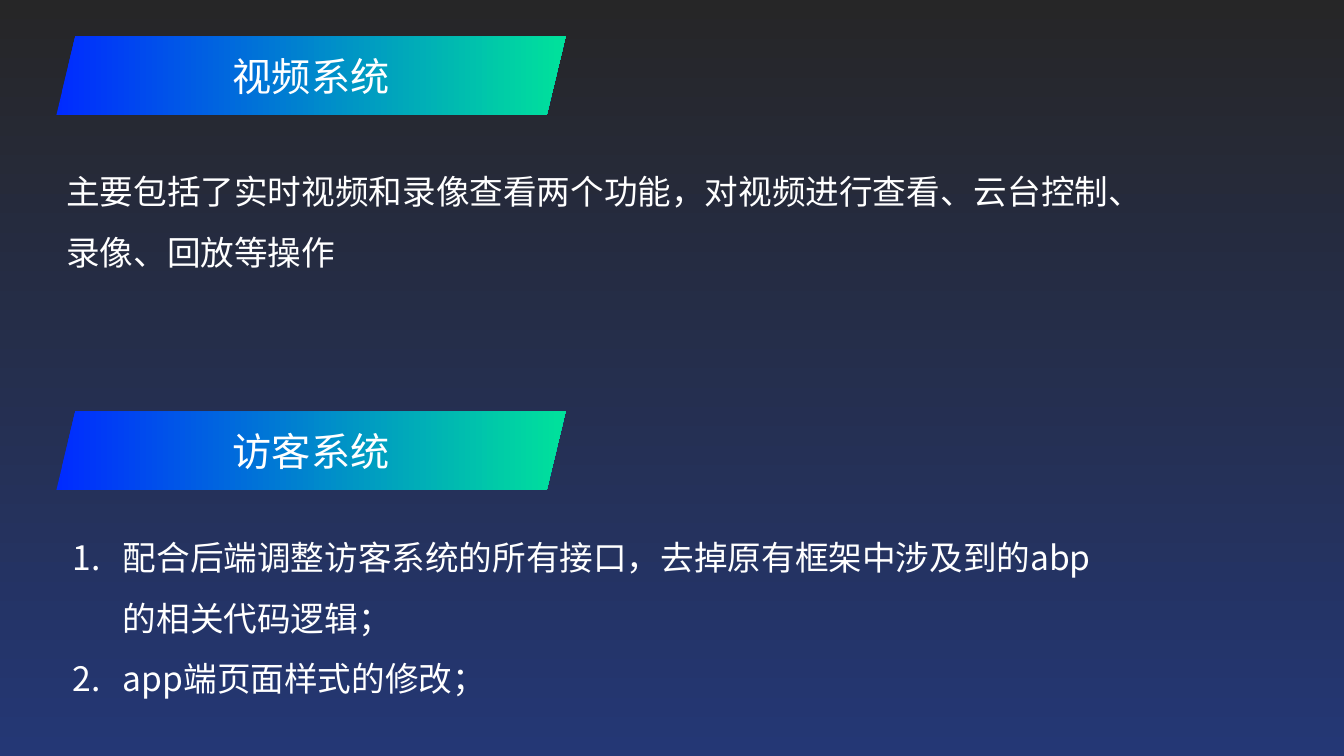
import pptx
import pptx.util
import pptx.dml.color
import pptx.enum.shapes
import pptx.enum.text
import pptx.oxml.ns
import lxml.etree

COLORS = {
    "night_bottom": "243775",
    "night_top": "262627",
    "banner_left": "002BFF",
    "banner_right": "00E29B",
    "text": "FFFFFF",
}
BODY_FONT = "Noto Sans CJK SC"
BANNER_FONT = "Calibri"
BANNER_WIDTH, BANNER_HEIGHT = 5.05, 0.78
BODY_WIDTH = 10.53

SECTIONS = [
    {
        "heading": "视频系统",
        "box": (0.56, 0.36),
        "body_offset": (0, 1.09),
        "body_height": 1.31,
        "body": ["主要包括了实时视频和录像查看两个功能，对视频进行查看、云台控制、录像、回放等操作"],
        "numbered": False,
    },
    {
        "heading": "访客系统",
        "box": (0.56, 4.08),
        "body_offset": (0.06, 1),
        "body_height": 1.92,
        "body": [
            "配合后端调整访客系统的所有接口，去掉原有框架中涉及到的abp的相关代码逻辑；",
            "app端页面样式的修改；",
        ],
        "numbered": True,
    },
]


def rgb(name):
    return pptx.dml.color.RGBColor.from_string(COLORS[name])


def inches(*lengths):
    return [pptx.util.Inches(length) for length in lengths]


def apply_gradient(fill, start, end, angle):
    fill.gradient()
    fill.gradient_angle = angle
    for stop, name, position in zip(fill.gradient_stops, (start, end), (0, 1)):
        stop.color.rgb = rgb(name)
        stop.position = position


def number_paragraph(paragraph):
    properties = paragraph._p.get_or_add_pPr()
    indent = pptx.util.Inches(0.5)
    properties.set("marL", str(indent))
    properties.set("indent", str(-indent))
    for tag, attribute, value in (
        ("a:buFont", "typeface", "+mj-lt"),
        ("a:buAutoNum", "type", "arabicPeriod"),
    ):
        bullet = lxml.etree.SubElement(properties, pptx.oxml.ns.qn(tag))
        bullet.set(attribute, value)


def write_text(frame, lines, size, font, align, anchor, spacing=None, numbered=False):
    frame.word_wrap = True
    frame.vertical_anchor = anchor
    for index, line in enumerate(lines):
        paragraph = frame.add_paragraph() if index else frame.paragraphs[0]
        paragraph.alignment = align
        paragraph.line_spacing = spacing
        if numbered:
            number_paragraph(paragraph)
        run = paragraph.add_run()
        run.text = line
        run.font.size = pptx.util.Pt(size)
        run.font.name = font
        run.font.color.rgb = rgb("text")
        east_asian = lxml.etree.SubElement(
            run._r.get_or_add_rPr(), pptx.oxml.ns.qn("a:ea"))
        east_asian.set("typeface", BODY_FONT)


def add_banner(slide, left, top, heading):
    banner = slide.shapes.add_shape(
        pptx.enum.shapes.MSO_SHAPE.PARALLELOGRAM,
        *inches(left, top, BANNER_WIDTH, BANNER_HEIGHT))
    banner.adjustments[0] = 0.24
    banner.shadow.inherit = False
    banner.line.fill.background()
    apply_gradient(banner.fill, "banner_left", "banner_right", 0)
    write_text(banner.text_frame, [heading], 28, BANNER_FONT,
               pptx.enum.text.PP_ALIGN.CENTER, pptx.enum.text.MSO_ANCHOR.MIDDLE)


def add_section(slide, section):
    left, top = section["box"]
    shift_x, shift_y = section["body_offset"]
    add_banner(slide, left, top, section["heading"])
    body = slide.shapes.add_textbox(
        *inches(left + shift_x, top + shift_y, BODY_WIDTH, section["body_height"]))
    write_text(body.text_frame, section["body"], 24, BODY_FONT,
               pptx.enum.text.PP_ALIGN.LEFT, pptx.enum.text.MSO_ANCHOR.TOP,
               spacing=1.5, numbered=section["numbered"])


def main():
    deck = pptx.Presentation()
    deck.slide_width, deck.slide_height = inches(13.33, 7.5)
    slide = deck.slides.add_slide(deck.slide_layouts[6])
    apply_gradient(slide.background.fill, "night_bottom", "night_top", 90)
    for section in SECTIONS:
        add_section(slide, section)
    deck.save("out.pptx")


if __name__ == "__main__":
    main()
